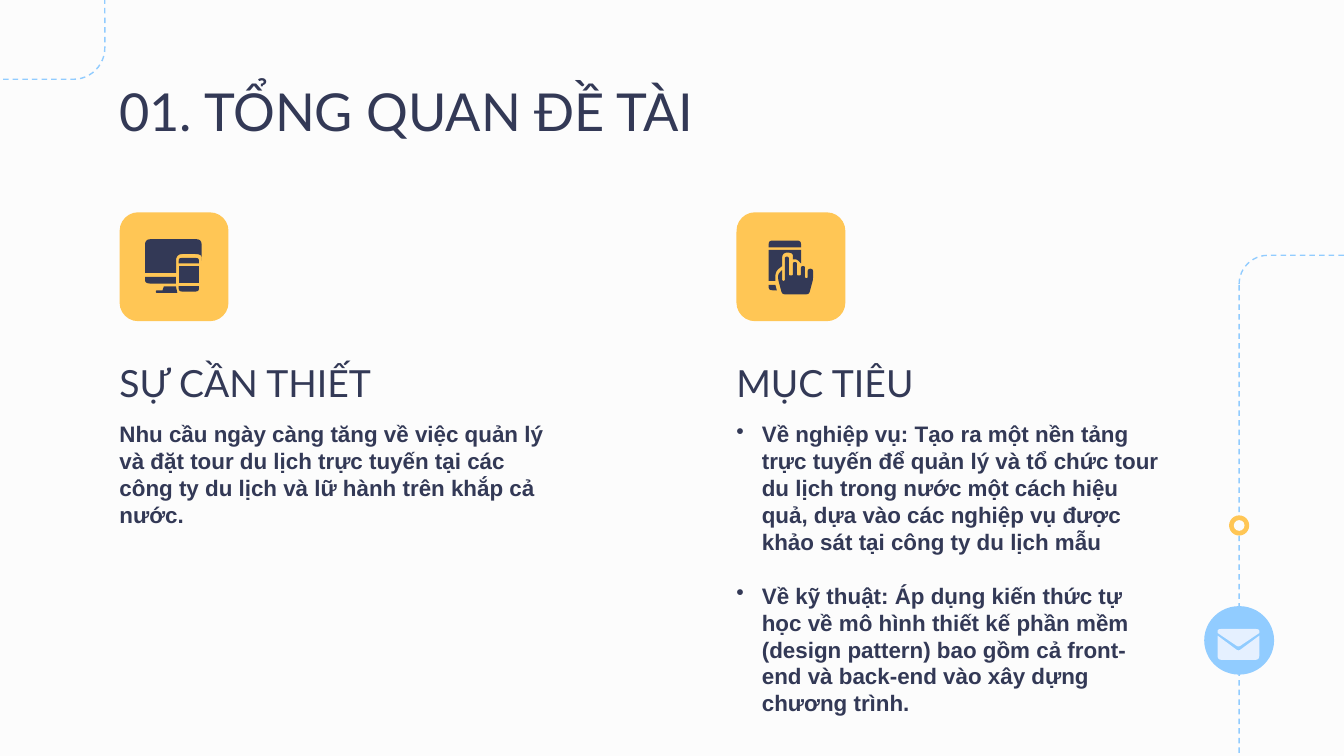
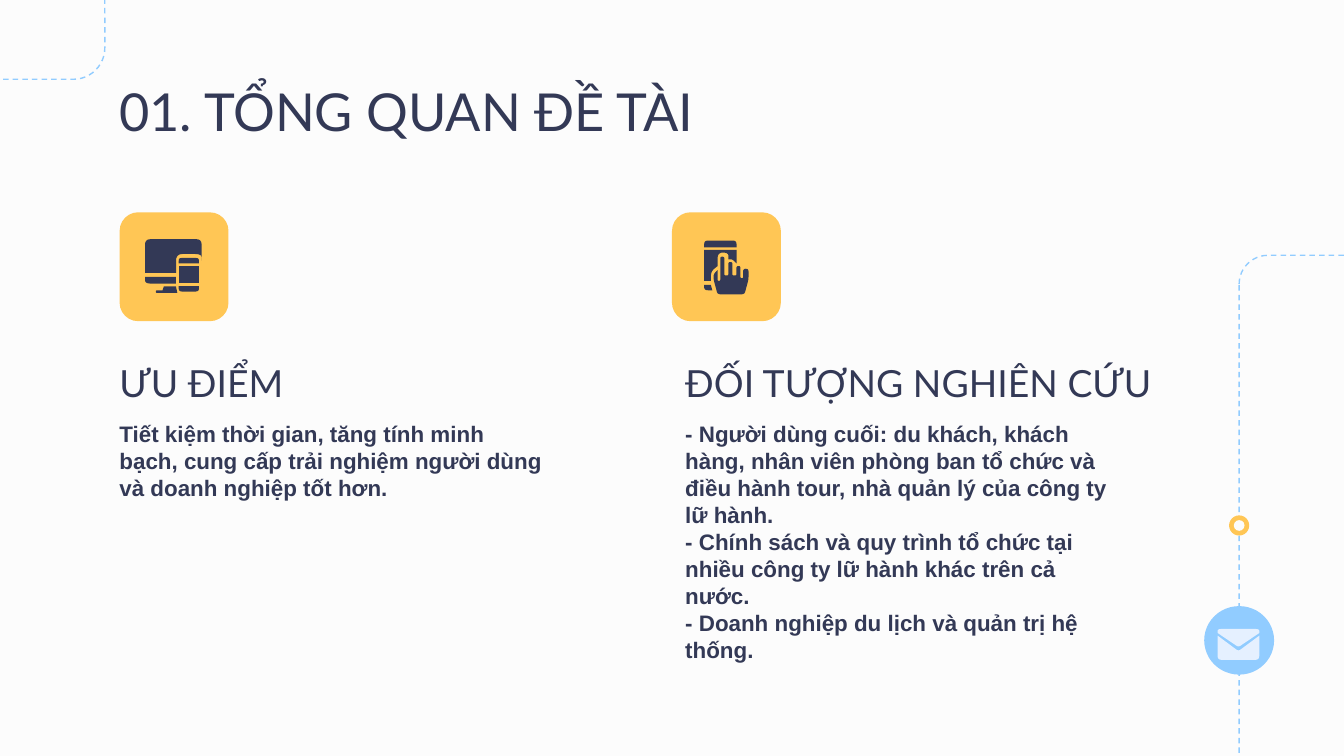
from pptx import Presentation
from pptx.dml.color import RGBColor
from pptx.enum.dml import MSO_LINE
from pptx.enum.shapes import MSO_SHAPE
from pptx.enum.text import MSO_ANCHOR
from pptx.oxml.ns import qn
from pptx.util import Inches, Pt
from lxml.etree import SubElement

NAVY, YELLOW, BLUE, PALE, PAPER = "333956", "FFC655", "91CCFF", "E5F0FF", "FCFCFC"
HEAD_FONT, BODY_FONT = "Lato", "Arial"
WIDTH, HEIGHT = Inches(10), Inches(5.625)
CELL = WIDTH / 100  # the grid has 100 columns of square cells

LEFT, TEXT_WIDTH = 7.9, 33.9
TILE_TOP, TILE_SIZE = 15.8, 8.1
HEADING_TOP, HEADING_HEIGHT = 25, 6.1
BODY_TOP, BODY_HEIGHT = 30.3, 16.6
BODY_LINE = 14.4

TITLE = "01. TỔNG QUAN ĐỀ TÀI"

# Outlines are corners (x, y) or (x, y, rounding) in tenths of a cell.
DEVICES_ICON = [
    [(19, 20, 4), (61, 20, 4), (61, 36), (61, 31, 5), (42, 31, 5), (42, 45), (19, 45)],
    [(19, 48), (42, 48), (42, 53), (19, 53, 4)],
    [(33, 55), (42, 55), (43, 60), (27, 60, 1), (27, 58, 1), (32, 58)],
    [(44, 34, 2), (59, 34, 2), (59, 38), (44, 38)],
    [(44, 40), (59, 40), (59, 53), (44, 53)],
    [(44, 55), (59, 55), (59, 59, 3), (44, 59, 3)],
]
TOUCH_ICON = [
    [(24, 21, 3), (48, 21, 3), (48, 26), (24, 26)],
    [(24, 28), (48, 28), (48, 38), (45, 35, 2), (42, 35), (42, 30, 4), (34, 30, 4),
     (34, 40), (29, 44, 4), (29, 51), (24, 51)],
    [(24, 54), (29, 54), (30, 58), (24, 58, 4)],
    [(36, 33, 1.5), (39, 33, 1.5), (39, 47, 1), (42, 47, 1), (42, 37, 1.5),
     (45, 37, 1.5), (45, 47, 1), (48, 47, 1), (48, 40, 1.5), (51, 40, 1.5),
     (51, 49, 1), (53, 49, 1), (53, 42, 2), (57, 42, 2), (57, 50, 2), (54, 61, 2),
     (34, 61, 2), (31, 50, 2), (31, 46, 2), (34, 43), (34, 51, 1), (36, 51, 1)],
]
ENVELOPE_ICON = [
    [(0, 0, 3), (31, 0, 3), (31, 3), (15.5, 13.5, 2), (0, 3)],
    [(0, 5), (15.5, 16.5, 2), (31, 5), (31, 23, 3), (0, 23, 3)],
]


def cells(*counts):
    return [round(n * CELL) for n in counts]


def rgb(color):
    return RGBColor.from_string(color)


def add_shape(slide, kind, box, fill=None, line=None, radius=None):
    """Add a preset shape; line gives the colour of a thin dashed outline."""
    sp = slide.shapes.add_shape(kind, *cells(*box))
    sp.shadow.inherit = False
    if fill:
        sp.fill.solid()
        sp.fill.fore_color.rgb = rgb(fill)
    else:
        sp.fill.background()
    if line:
        sp.line.color.rgb = rgb(line)
        sp.line.width = Pt(0.75)
        sp.line.dash_style = MSO_LINE.DASH
    else:
        sp.line.fill.background()
    if radius:
        sp.adjustments[0] = radius
    return sp


def round_corners(corners, steps=6):
    """Return the outline's points, each rounded corner as a quadratic curve."""
    points = []
    for i, (x, y, *rounding) in enumerate(corners):
        if not rounding:
            points.append((x, y))
            continue
        ends = []
        for nx, ny, *_ in (corners[i - 1], corners[(i + 1) % len(corners)]):
            length = ((nx - x) ** 2 + (ny - y) ** 2) ** 0.5
            share = min(rounding[0] / length, 0.5)
            ends.append((x + (nx - x) * share, y + (ny - y) * share))
        (ax, ay), (bx, by) = ends
        for t in (n / steps for n in range(steps + 1)):
            a, c, b = (1 - t) ** 2, 2 * t * (1 - t), t ** 2
            points.append((a * ax + c * x + b * bx, a * ay + c * y + b * by))
    return points


def add_icon(slide, outlines, left, top, color):
    group = slide.shapes.add_group_shape()
    for corners in outlines:
        points = [cells(left + x / 10, top + y / 10) for x, y in round_corners(corners)]
        builder = group.shapes.build_freeform(*points[0], scale=1.0)
        builder.add_line_segments(points[1:], close=True)
        sp = builder.convert_to_shape()
        sp.shadow.inherit = False
        sp.fill.solid()
        sp.fill.fore_color.rgb = rgb(color)
        sp.line.fill.background()


def set_bullet(p, indent=0.19):
    pPr = p._p.get_or_add_pPr()
    pPr.set("marL", str(Inches(indent)))
    pPr.set("indent", str(-Inches(indent)))
    SubElement(pPr, qn("a:buChar")).set("char", "•")


def add_text(slide, box, paragraphs, size=12, font=BODY_FONT, bold=False,
             anchor=MSO_ANCHOR.TOP, line_height=None, gap=0, bullets=False):
    tf = slide.shapes.add_textbox(*cells(*box)).text_frame
    tf.word_wrap = True
    tf.vertical_anchor = anchor
    tf.margin_left = tf.margin_right = tf.margin_top = tf.margin_bottom = Inches(0.1)
    for i, text in enumerate(paragraphs):
        p = tf.add_paragraph() if i else tf.paragraphs[0]
        if line_height:
            p.line_spacing = Pt(line_height)
        if i and gap:
            p.space_before = Pt(gap)
        if bullets:
            set_bullet(p)
        r = p.add_run()
        r.text = text
        r.font.size, r.font.name, r.font.bold = Pt(size), font, bold
        r.font.color.rgb = rgb(NAVY)


def add_decor(slide):
    """Draw the dashed corner tracks, the ring and the mail badge."""
    add_shape(slide, MSO_SHAPE.ROUNDED_RECTANGLE, (92.2, 19, 15.3, 43.4), line=BLUE, radius=0.14)
    add_shape(slide, MSO_SHAPE.ROUNDED_RECTANGLE, (-7.8, -14.3, 15.6, 20.2), line=BLUE, radius=0.15)
    for size, color in ((1.5, YELLOW), (0.8, PAPER)):
        add_shape(slide, MSO_SHAPE.OVAL, (92.2 - size / 2, 39.1 - size / 2, size, size), fill=color)
    add_shape(slide, MSO_SHAPE.OVAL, (89.6, 45.1, 5.2, 5.1), fill=BLUE)
    add_icon(slide, ENVELOPE_ICON, 90.6, 46.8, PALE)


def add_topic(slide, left, tile_left, icon, heading, body, heading_width=TEXT_WIDTH,
              body_height=BODY_HEIGHT, **body_format):
    add_shape(slide, MSO_SHAPE.ROUNDED_RECTANGLE, (tile_left, TILE_TOP, TILE_SIZE, TILE_SIZE),
              fill=YELLOW, radius=0.17)
    add_icon(slide, icon, tile_left, TILE_TOP, NAVY)
    add_text(slide, (left, HEADING_TOP, heading_width, HEADING_HEIGHT), [heading],
             size=20, font=HEAD_FONT, anchor=MSO_ANCHOR.BOTTOM)
    add_text(slide, (left, BODY_TOP, TEXT_WIDTH, body_height), body,
             bold=True, line_height=BODY_LINE, **body_format)


def add_overview_slide(prs):
    slide = prs.slides.add_slide(prs.slide_layouts[6])
    slide.background.fill.solid()
    slide.background.fill.fore_color.rgb = rgb(PAPER)
    add_decor(slide)
    add_text(slide, (LEFT, 4.9, 84.3, 6.3), [TITLE], size=28, font=HEAD_FONT)
    return slide


def main():
    prs = Presentation()
    prs.slide_width, prs.slide_height = WIDTH, HEIGHT

    slide = add_overview_slide(prs)
    add_topic(slide, LEFT, LEFT + 1, DEVICES_ICON, "SỰ CẦN THIẾT", [
        "Nhu cầu ngày càng tăng về việc quản lý và đặt tour du lịch trực tuyến "
        "tại các công ty du lịch và lữ hành trên khắp cả nước."])
    add_topic(slide, 53.8, 54.8, TOUCH_ICON, "MỤC TIÊU", [
        "Về nghiệp vụ: Tạo ra một nền tảng trực tuyến để quản lý và tổ chức tour "
        "du lịch trong nước một cách hiệu quả, dựa vào các nghiệp vụ được khảo sát "
        "tại công ty du lịch mẫu",
        "Về kỹ thuật: Áp dụng kiến thức tự học về mô hình thiết kế phần mềm "
        "(design pattern) bao gồm cả front-end và back-end vào xây dựng chương trình.",
    ], body_height=21, gap=BODY_LINE, bullets=True)

    slide = add_overview_slide(prs)
    add_topic(slide, LEFT, LEFT + 1, DEVICES_ICON, "ƯU ĐIỂM", [
        "Tiết kiệm thời gian, tăng tính minh bạch, cung cấp trải nghiệm người dùng "
        "và doanh nghiệp tốt hơn."])
    add_topic(slide, 50, 50, TOUCH_ICON, "ĐỐI TƯỢNG NGHIÊN CỨU", [
        "- Người dùng cuối: du khách, khách hàng, nhân viên phòng ban tổ chức và "
        "điều hành tour, nhà quản lý của công ty lữ hành.",
        "- Chính sách và quy trình tổ chức tại nhiều công ty lữ hành khác trên cả nước.",
        "- Doanh nghiệp du lịch và quản trị hệ thống.",
    ], heading_width=37.8)

    prs.save("out.pptx")


if __name__ == "__main__":
    main()
